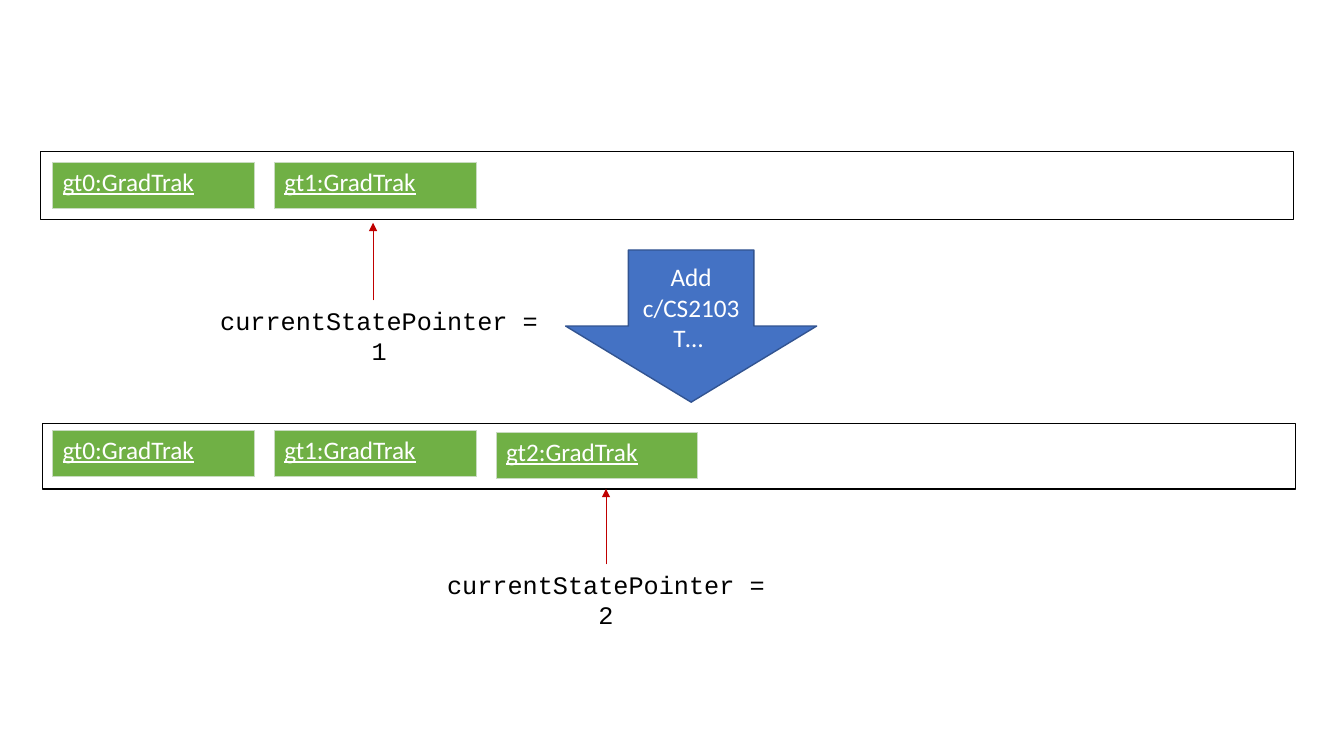
"""Build the slide showing the state list before and after an add command."""
from dataclasses import dataclass

from lxml import etree
from pptx import Presentation
from pptx.dml.color import RGBColor
from pptx.enum.shapes import MSO_CONNECTOR, MSO_SHAPE
from pptx.enum.text import MSO_ANCHOR, MSO_AUTO_SIZE, PP_ALIGN
from pptx.oxml.ns import qn
from pptx.util import Inches, Pt

COLORS = {
    "white": "FFFFFF",
    "black": "000000",
    "green": "70B045",
    "border": "C9DBC1",
    "blue": "4472C4",
    "blue_line": "325491",
    "red": "C00000",
}
CELL_LEFT, CELL_STEP, CELL_W, CELL_H = 0.52, 2.2, 2.0, 0.46
FRAME_W, LABEL_W, LABEL_H = 12.43, 3.5, 0.4


@dataclass
class StateList:
    frame_left: float
    frame_top: float
    frame_height: float
    cell_tops: list[float]
    label_left: float
    label_top: float
    pointer_x: float
    pointer_tip: float
    pointer: int
    joined: bool


STATE_LISTS = [
    StateList(0.4, 1.5, 0.68, [1.61, 1.61], 2.01, 2.98, 3.7, 2.21, 1, False),
    StateList(0.42, 4.2, 0.65, [4.27, 4.27, 4.29], 4.26, 5.6, 6.01, 4.85, 2, True),
]


def rgb(name: str) -> RGBColor:
    return RGBColor.from_string(COLORS[name])


def write(tf, text: str, font: str, color: str, align=None, underline=None) -> None:
    p = tf.paragraphs[0]
    p.alignment = align
    r = p.add_run()
    r.text = text
    r.font.name = font
    r.font.size = Pt(18)
    r.font.underline = underline
    r.font.color.rgb = rgb(color)


def add_frame(s, state: StateList) -> None:
    sp = s.shapes.add_shape(
        MSO_SHAPE.RECTANGLE, Inches(state.frame_left), Inches(state.frame_top),
        Inches(FRAME_W), Inches(state.frame_height))
    sp.shadow.inherit = False
    sp.fill.background()
    sp.line.color.rgb = rgb("black")
    sp.line.width = Pt(1)


def add_state(s, index: int, top: float) -> None:
    table = s.shapes.add_table(
        1, 1, Inches(CELL_LEFT + index * CELL_STEP), Inches(top),
        Inches(CELL_W), Inches(CELL_H)).table
    cell = table.cell(0, 0)
    tc_pr = cell._tc.get_or_add_tcPr()
    for side in ("a:lnL", "a:lnR", "a:lnT", "a:lnB"):
        ln = etree.SubElement(tc_pr, qn(side), w=str(Pt(0.5)))
        solid = etree.SubElement(ln, qn("a:solidFill"))
        etree.SubElement(solid, qn("a:srgbClr"), val=COLORS["border"])
    cell.fill.solid()
    cell.fill.fore_color.rgb = rgb("green")
    write(cell.text_frame, f"gt{index}:GradTrak", "Calibri", "white", underline=True)


def add_pointer(s, state: StateList) -> None:
    label = s.shapes.add_textbox(
        Inches(state.label_left), Inches(state.label_top),
        Inches(LABEL_W), Inches(LABEL_H))
    tf = label.text_frame
    tf.word_wrap = True
    tf.auto_size = MSO_AUTO_SIZE.SHAPE_TO_FIT_TEXT
    write(tf, f"currentStatePointer = {state.pointer}", "Courier New", "black",
          PP_ALIGN.CENTER)

    x = Inches(state.pointer_x)
    arrow = s.shapes.add_connector(
        MSO_CONNECTOR.STRAIGHT, x, Inches(state.label_top), x, Inches(state.pointer_tip))
    if state.joined:
        arrow.begin_connect(label, 0)
    arrow.line.color.rgb = rgb("red")
    arrow.line.width = Pt(0.5)
    etree.SubElement(arrow.line._get_or_add_ln(), qn("a:tailEnd"), type="triangle")
    etree.SubElement(arrow._element.spPr, qn("a:effectLst"))


def add_command(s) -> None:
    sp = s.shapes.add_shape(
        MSO_SHAPE.DOWN_ARROW, Inches(5.61), Inches(2.48), Inches(2.49), Inches(1.51))
    sp.shadow.inherit = False
    sp.fill.solid()
    sp.fill.fore_color.rgb = rgb("blue")
    sp.line.color.rgb = rgb("blue_line")
    sp.line.width = Pt(1)
    tf = sp.text_frame
    tf.word_wrap = True
    tf.vertical_anchor = MSO_ANCHOR.MIDDLE
    write(tf, "Add c/CS2103T… ", "Calibri", "white", PP_ALIGN.CENTER)


def main() -> None:
    prs = Presentation()
    prs.slide_width = Inches(13.33)
    prs.slide_height = Inches(7.5)
    s = prs.slides.add_slide(prs.slide_layouts[6])
    add_command(s)
    for state in STATE_LISTS:
        add_frame(s, state)
        for index, top in enumerate(state.cell_tops):
            add_state(s, index, top)
        add_pointer(s, state)
    prs.save("out.pptx")


if __name__ == "__main__":
    main()
